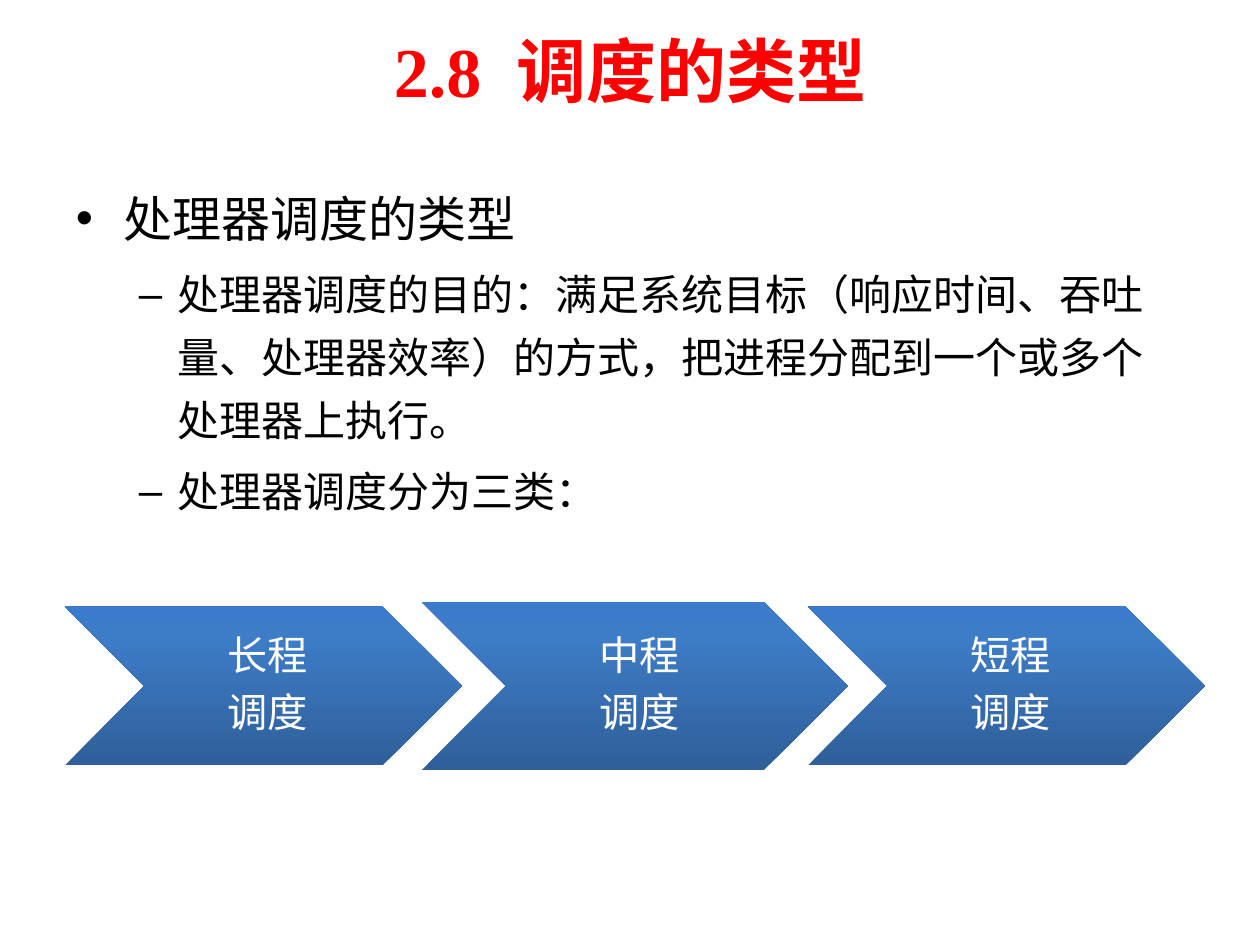
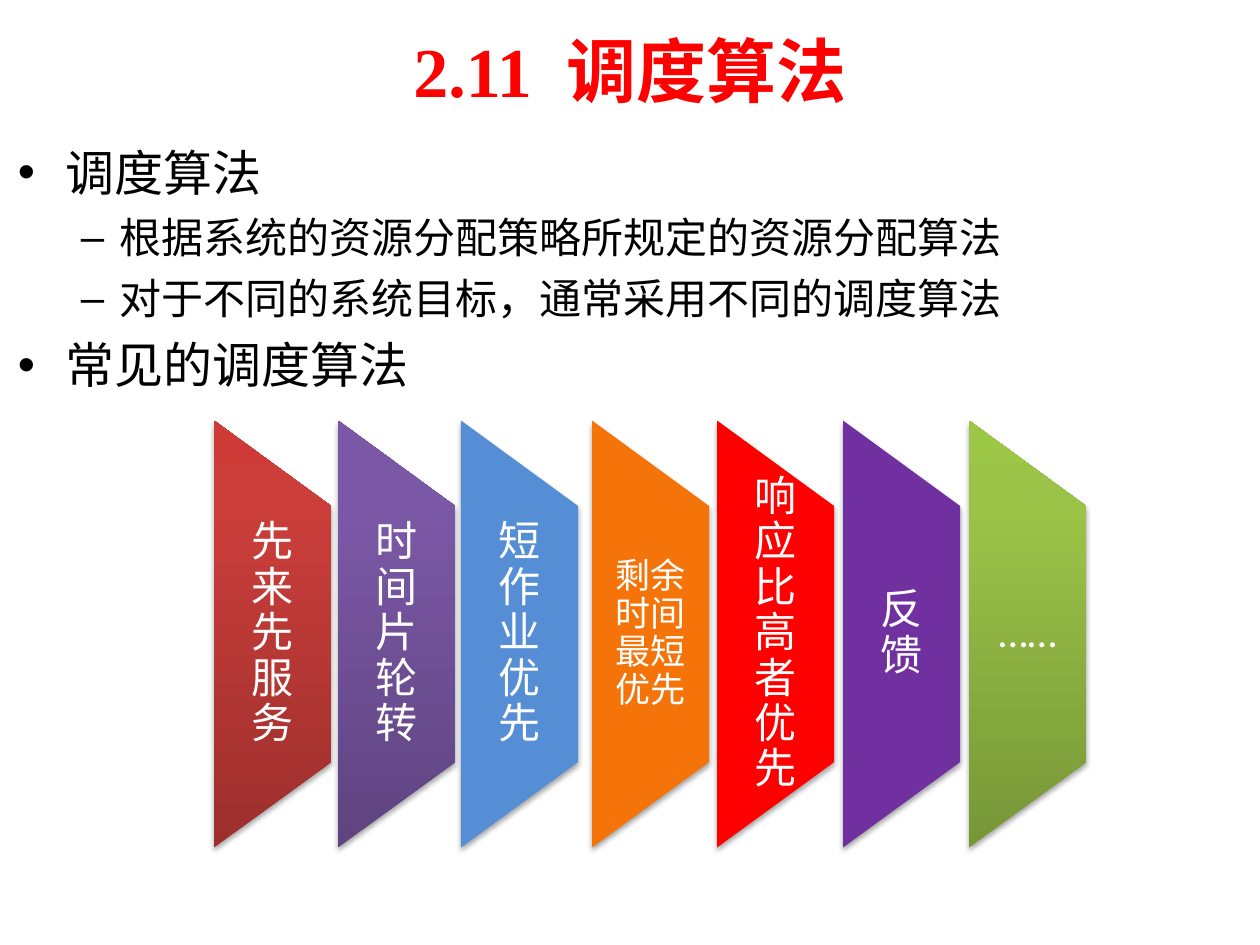
from copy import deepcopy
from lxml.etree import SubElement
from pptx import Presentation
from pptx.dml.color import RGBColor
from pptx.enum.shapes import MSO_SHAPE
from pptx.enum.text import MSO_ANCHOR, PP_ALIGN
from pptx.oxml.ns import qn
from pptx.util import Pt

RED = RGBColor(0xFF, 0x00, 0x00)
BLACK = RGBColor(0x00, 0x00, 0x00)
WHITE = RGBColor(0xFF, 0xFF, 0xFF)
SKY = RGBColor(0x55, 0x8E, 0xD5)
ORANGE = RGBColor(0xF4, 0x74, 0x0A)
PURPLE = RGBColor(0x70, 0x30, 0xA0)
# Gradients run from the bottom edge to the top edge
STOPS = (0, 0.8, 1)
BLUES = [RGBColor.from_string(c) for c in ("2F5F99", "3D7CC7", "3A7CCB")]
REDS = [RGBColor.from_string(c) for c in ("9C2F2D", "CB3E3A", "CE3B37")]
MAUVES = [RGBColor.from_string(c) for c in ("5F4480", "7B58A6", "7C57A8")]
GREENS = [RGBColor.from_string(c) for c in ("779737", "9BC348", "9DC746")]

TYPES = {
    "title": ("2.8", "调度的类型"),
    "font": "Times New Roman",
    "box": (63, 168, 1134, 116),
    "line": 1.25,
    "after": 0,
    "points": [
        (0, "处理器调度的类型"),
        (1, "处理器调度的目的：满足系统目标（响应时间、吞吐量、处理器效率）的方式，"
            "把进程分配到一个或多个处理器上执行。"),
        (1, "处理器调度分为三类："),
    ],
}
RULES = {
    "title": ("2.11", "调度算法"),
    "font": "Arial",
    "box": (5, 136, 1134, 624),
    "line": 1,
    "after": 0.05,
    "points": [
        (0, "调度算法"),
        (1, "根据系统的资源分配策略所规定的资源分配算法"),
        (1, "对于不同的系统目标，通常采用不同的调度算法"),
        (0, "常见的调度算法"),
    ],
}
# Level: size, left margin, hanging indent, bullet
LEVELS = [(28, 48, 48, "•"), (24, 102, 39, "–")]

# Words, left, width, height
STEPS = [
    (("长程", "调度"), 65, 397, 159),
    (("中程", "调度"), 422, 426, 168),
    (("短程", "调度"), 808, 397, 159),
]
STEP_MID = 686

# Words, left, fill, text size, side inset
BLADES = [
    ("先来先服务", 214, REDS, 24, 21),
    ("时间片轮转", 338, MAUVES, 24, 21),
    ("短作业优先", 461, SKY, 24, 21),
    ("剩余时间最短优先", 592, ORANGE, 20, 18),
    ("响应比高者优先", 717, RED, 24, 21),
    ("反馈", 843, PURPLE, 24, 21),
    ("……", 969, GREENS, 24, 21),
]
BLADE_W, BLADE_H, BLADE_MID = 117, 427, 634
LABEL_H = 256

SCALE = 914400 / 126


def px(num):
    return round(num * SCALE)


def add_run(para, text, font, size, color, bold=False):
    run = para.add_run()
    run.text = text
    run.font.name = font
    run.font.size = Pt(size)
    run.font.color.rgb = color
    run.font.bold = bold
    return run


def add_box(slide, box, insets):
    frame = slide.shapes.add_textbox(*map(px, box)).text_frame
    frame.word_wrap = True
    (frame.margin_left, frame.margin_top,
     frame.margin_right, frame.margin_bottom) = map(px, insets)
    return frame


def next_para(frame, num):
    return frame.add_paragraph() if num else frame.paragraphs[0]


def add_title(slide, num, words):
    title = slide.shapes.title
    title.left, title.top, title.width, title.height = map(px, (63, 6, 1134, 128))
    title.text_frame.vertical_anchor = MSO_ANCHOR.MIDDLE
    para = title.text_frame.paragraphs[0]
    para.alignment = PP_ALIGN.CENTER
    for text in (num, " ", words):
        run = add_run(para, text, "Times New Roman", 40, RED, True)
        if text == " ":
            run.font._element.set("spc", "1000")


def add_points(slide, page):
    frame = add_box(slide, page["box"], (13, 6, 13, 6))
    for num, (level, text) in enumerate(page["points"]):
        size, left, hang, mark = LEVELS[level]
        para = next_para(frame, num)
        para.level = level
        para.line_spacing = page["line"]
        para.space_before = Pt(size * 0.2 if num else 0)
        para.space_after = Pt(size * page["after"])
        props = para._p.get_or_add_pPr()
        props.set("marL", str(px(left)))
        props.set("indent", str(-px(hang)))
        SubElement(props, qn("a:buFont"), typeface="Arial")
        SubElement(props, qn("a:buChar"), char=mark)
        add_run(para, text, page["font"], size, BLACK)


def add_label(slide, box, insets, lines, size):
    frame = add_box(slide, box, insets)
    frame.vertical_anchor = MSO_ANCHOR.MIDDLE
    for num, text in enumerate(lines):
        para = next_para(frame, num)
        para.alignment = PP_ALIGN.CENTER
        para.line_spacing = 0.9
        para.space_after = Pt(size * 0.35)
        add_run(para, text, "Calibri", size, WHITE)


def paint(shape, color):
    """Fill with one colour or, given a list, with an upright gradient."""
    shape.shadow.inherit = False
    shape.line.fill.background()
    fill = shape.fill
    if isinstance(color, RGBColor):
        fill.solid()
        fill.fore_color.rgb = color
        return
    fill.gradient()
    fill.gradient_angle = 90
    grad = shape._element.spPr.find(qn("a:gradFill"))
    grad.set("rotWithShape", "0")
    stops = grad.find(qn("a:gsLst"))
    stops.append(deepcopy(stops[-1]))
    for stop, place, tone in zip(fill.gradient_stops, STOPS, color):
        stop.position = place
        stop.color.rgb = tone


def add_shadow(shape):
    effects = shape._element.spPr.find(qn("a:effectLst"))
    outer = SubElement(effects, qn("a:outerShdw"), blurRad="40000", dist="23000",
                       dir="5400000", rotWithShape="0")
    tone = SubElement(outer, qn("a:srgbClr"), val=str(BLACK))
    SubElement(tone, qn("a:alpha"), val="35000")


def add_step(slide, lines, left, wide, high):
    top = STEP_MID - high / 2
    shape = slide.shapes.add_shape(
        MSO_SHAPE.CHEVRON, *map(px, (left, top, wide, high)))
    paint(shape, BLUES)
    box = (left + high / 2, top, wide - high, high)
    add_label(slide, box, (13, 4, 4, 4), lines, 23)


def add_blade(slide, text, left, color, size, inset):
    mid = left + BLADE_W / 2
    shape = slide.shapes.add_shape(
        MSO_SHAPE.FLOWCHART_MANUAL_OPERATION,
        *map(px, (mid - BLADE_H / 2, BLADE_MID - BLADE_W / 2, BLADE_H, BLADE_W)))
    shape.rotation = 270
    paint(shape, color)
    add_shadow(shape)
    box = (left, BLADE_MID - LABEL_H / 2, BLADE_W, LABEL_H)
    add_label(slide, box, (inset, 0, inset, 0), [text], size)


def main():
    deck = Presentation()
    deck.slide_width, deck.slide_height = px(1260), px(945)
    for page, draw, parts in ((TYPES, add_step, STEPS), (RULES, add_blade, BLADES)):
        slide = deck.slides.add_slide(deck.slide_layouts[5])
        add_title(slide, *page["title"])
        add_points(slide, page)
        for part in parts:
            draw(slide, *part)
    deck.save("out.pptx")


if __name__ == "__main__":
    main()
